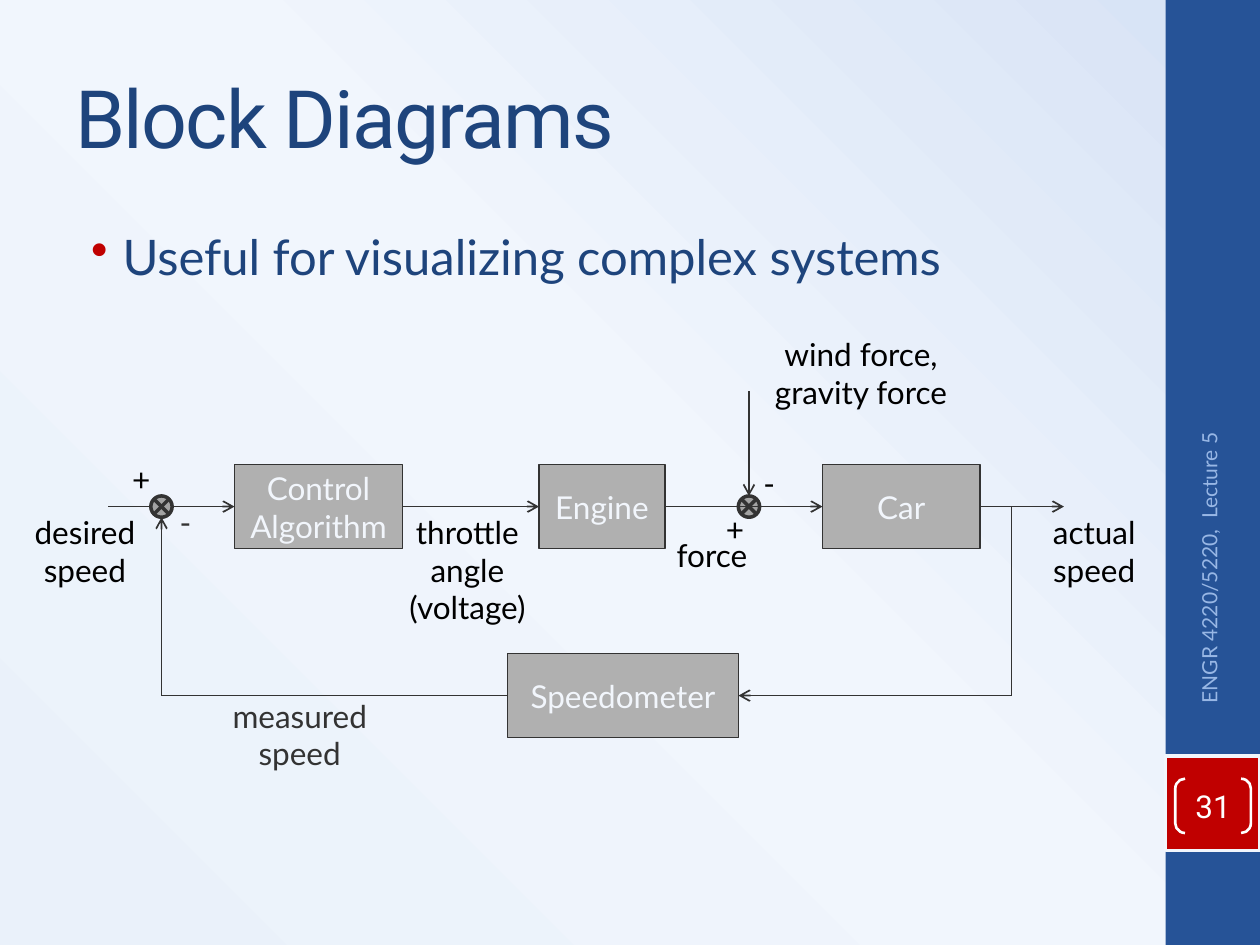
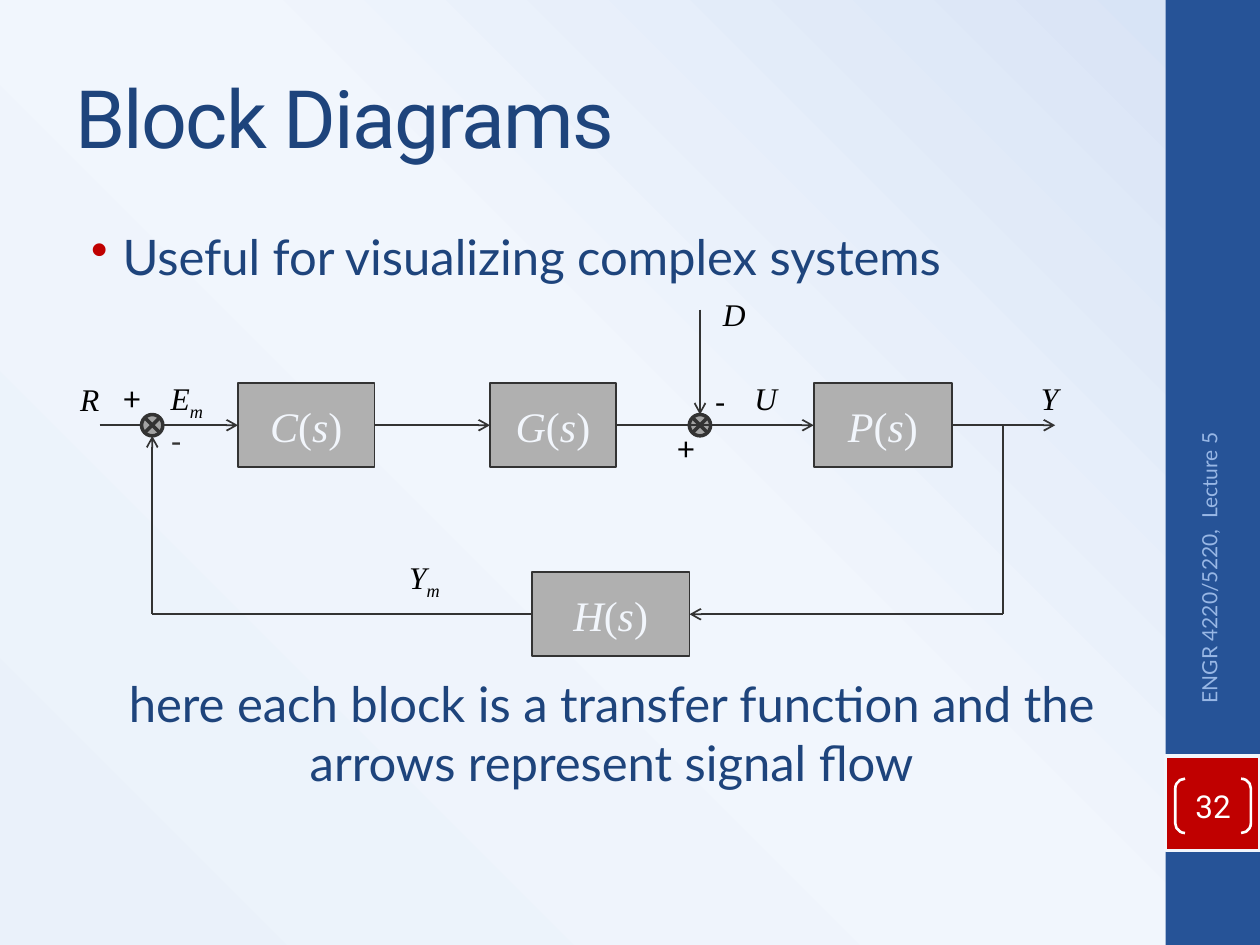
from dataclasses import dataclass

from lxml import etree
from pptx import Presentation
from pptx.dml.color import RGBColor
from pptx.enum.shapes import MSO_CONNECTOR, MSO_SHAPE
from pptx.enum.text import MSO_ANCHOR, PP_ALIGN
from pptx.oxml.ns import qn
from pptx.util import Pt

RECT = MSO_SHAPE.RECTANGLE
JUNCTION = MSO_SHAPE.FLOWCHART_SUMMING_JUNCTION
BRACKETS = MSO_SHAPE.DOUBLE_BRACKET
STRAIGHT = MSO_CONNECTOR.STRAIGHT
LEFT, CENTER, RIGHT = PP_ALIGN.LEFT, PP_ALIGN.CENTER, PP_ALIGN.RIGHT
TOP, MIDDLE = MSO_ANCHOR.TOP, MSO_ANCHOR.MIDDLE


@dataclass(frozen=True)
class Theme:
    navy: str = "1E447C"
    band: str = "265397"
    red: str = "C00000"
    footer: str = "98B7E5"
    pale: str = "F2F6FC"
    white: str = "FFFFFF"
    black: str = "000000"
    ink: str = "333333"
    block: str = "B0B0B0"
    junction: str = "A3A3A3"
    background: tuple = ((0, "EAF1FA"), (52, "F1F6FD"), (100, "D6E2F5"))
    title_font: str = "Roboto"
    body_font: str = "Lato"
    math_font: str = "Times New Roman"
    title: int = 46
    body: int = 28
    math: int = 24
    label: int = 18
    small: int = 12


T = Theme()
ITALIC = {"italic": True}
SUBSCRIPT = {"italic": True, "baseline": -25}


def rgb(color):
    return RGBColor.from_string(color)


def child(parent, tag, **attrs):
    e = etree.SubElement(parent, qn(tag))
    for name, value in attrs.items():
        e.set(name, str(value))
    return e


# Text and shapes

def write(tf, content, size=T.label, font=T.body_font, color=T.black,
          align=CENTER, anchor=TOP, wrap=True, spacing=None, margin=None,
          bullet=None):
    """Fill a frame with paragraphs; each is a string or a list of (text, format)."""
    tf.word_wrap = wrap
    tf.vertical_anchor = anchor
    if margin is not None:
        tf.margin_left = tf.margin_right = Pt(margin)
        tf.margin_top = tf.margin_bottom = Pt(margin)
    for i, runs in enumerate([content] if isinstance(content, str) else content):
        p = tf.paragraphs[0] if i == 0 else tf.add_paragraph()
        p.alignment = align
        if bullet:
            pPr = p._p.get_or_add_pPr()
            pPr.set("marL", str(Pt(27)))
            pPr.set("indent", str(-Pt(18)))
            child(child(pPr, "a:buClr"), "a:srgbClr", val=T.red)
            child(pPr, "a:buChar", char=bullet)
        for text, style in [(runs, {})] if isinstance(runs, str) else runs:
            r = p.add_run()
            r.text = text
            r.font.size = Pt(size)
            r.font.name = font
            r.font.color.rgb = rgb(color)
            r.font.italic = style.get("italic", False)
            rPr = r._r.get_or_add_rPr()
            if spacing:
                rPr.set("spc", str(spacing * 100))
            if "baseline" in style:
                rPr.set("baseline", str(style["baseline"] * 1000))


def add_text(s, box, content, **fmt):
    sp = s.shapes.add_textbox(*map(Pt, box))
    write(sp.text_frame, content, **fmt)
    return sp


def add_shape(s, kind, box, fill=None, line=None, width=1):
    sp = s.shapes.add_shape(kind, *map(Pt, box))
    sp.shadow.inherit = False
    if fill:
        sp.fill.solid()
        sp.fill.fore_color.rgb = rgb(fill)
    else:
        sp.fill.background()
    if line:
        sp.line.color.rgb = rgb(line)
        sp.line.width = Pt(width)
    else:
        sp.line.fill.background()
    return sp


def add_arrow(s, *points):
    """Join the points with straight lines; the last one has an arrowhead."""
    for start, end in zip(points, points[1:]):
        c = s.shapes.add_connector(STRAIGHT, *map(Pt, start + end))
        c.line.color.rgb = rgb(T.ink)
        c.line.width = Pt(1)
        spPr = c._element.spPr
        if end == points[-1]:
            child(spPr.find(qn("a:ln")), "a:tailEnd", type="arrow")
        child(spPr, "a:effectLst")


# Shared slide frame

def paint_background(s):
    s.background.fill.gradient()
    grad = s._element.find(".//" + qn("a:gradFill"))
    for e in list(grad):
        grad.remove(e)
    stops = child(grad, "a:gsLst")
    for position, color in T.background:
        child(child(stops, "a:gs", pos=position * 1000), "a:srgbClr", val=color)
    path = child(grad, "a:path", path="circle")
    child(path, "a:fillToRect", l=0, t=100000, r=100000, b=0)


def side_band(s, box, number):
    x, y, w, h = box
    add_shape(s, RECT, box, T.band)
    add_shape(s, RECT, (x, y + 432, w, w), T.red, T.pale, 2)
    footer = add_text(s, (x - 68.4, y + 319, 186.5, 28.8),
                      "ENGR 4220/5220,  Lecture 5", size=T.small,
                      color=T.footer, align=RIGHT, anchor=MIDDLE)
    footer.rotation = 270
    badge = add_shape(s, BRACKETS, (x + 5.6, y + 445, 43.2, 31), None, T.white, 1.5)
    badge.adjustments[0] = 0.18
    write(badge.text_frame, str(number), font=T.title_font, color=T.white,
          anchor=MIDDLE, margin=0)


def diagram_slide(prs, number):
    s = prs.slides.add_slide(prs.slide_layouts[6])
    paint_background(s)
    side_band(s, (666, 0, 54, 540), number)
    add_text(s, (36, 21.6, 600, 90), "Block Diagrams", size=T.title,
             font=T.title_font, color=T.navy, align=LEFT, anchor=MIDDLE, spacing=-1)
    add_text(s, (36, 126, 600, 50), "Useful for visualizing complex systems",
             size=T.body, color=T.navy, align=LEFT, bullet="•")
    return s


# Feedback loop

AXIS, FEEDBACK, BLOCK_H, JUNCTION_D = 66, 174, 48, 12.2


def add_block(s, x, center_y, w, content, **fmt):
    sp = add_shape(s, RECT, (x, center_y - BLOCK_H / 2, w, BLOCK_H), T.block, T.ink)
    write(sp.text_frame, content, color=T.pale, anchor=MIDDLE, **fmt)


def add_junction(s, x, y):
    d = JUNCTION_D
    add_shape(s, JUNCTION, (x - d / 2, y - d / 2, d, d), T.junction, T.ink, 2)


def add_sign(s, x, y, sign, color=T.black):
    add_text(s, (x, y, 25 if sign == "+" else 21, 29), sign, color=color, wrap=False)


def feedback_loop(s, box, forward, sensor, error_x, disturbance_x, takeoff_x,
                  labels, block_fmt, label_fmt):
    """Forward blocks lie on the axis, the sensor block below it."""
    left, top, width, _ = box
    axis, feedback = top + AXIS, top + FEEDBACK
    error, disturbance = left + error_x, left + disturbance_x
    takeoff = left + takeoff_x
    radius = JUNCTION_D / 2

    # Disturbance input
    add_junction(s, disturbance, axis)
    add_arrow(s, (disturbance, top), (disturbance, axis - radius))
    add_sign(s, disturbance - 20.5, axis - 1.4, "+")
    add_sign(s, disturbance + 1, axis - 27.7, "-")

    # Forward path
    start = left
    for x, w, content in forward:
        add_block(s, left + x, axis, w, content, **block_fmt)
        add_arrow(s, (start, axis), (left + x, axis))
        start = left + x + w
    add_arrow(s, (start, axis), (left + width, axis))

    # Return path
    x, w, content = sensor
    add_block(s, left + x, feedback, w, content, **block_fmt)
    add_arrow(s, (takeoff, axis), (takeoff, feedback), (left + x + w, feedback))
    add_arrow(s, (left + x, feedback), (error, feedback), (error, axis + radius))
    add_junction(s, error, axis)
    add_sign(s, error - 24, axis - 29.9, "+")
    add_sign(s, error + 3.2, axis - 5.4, "-", T.ink)

    # Signal names
    for x, y, w, content, color in labels:
        add_text(s, (left + x, top + y, w, 7.2 + 21.6 * len(content)), content,
                 color=color, wrap=False, **label_fmt)


def transfer(name):
    return [[(name, ITALIC), ("(", {}), ("s", ITALIC), (")", {})]]


def signal(name, index=None):
    return [[(name, ITALIC)] + ([(index, SUBSCRIPT)] if index else [])]


# Slides

def cruise_control_slide(prs):
    s = diagram_slide(prs, 31)
    feedback_loop(
        s, (62, 223.5, 546, 198),
        forward=[(72, 96, ["Control", "Algorithm"]), (246, 72, "Engine"),
                 (408, 90, "Car")],
        sensor=(228, 132, "Speedometer"),
        error_x=30.3, disturbance_x=366, takeoff_x=516,
        labels=[(373, -35.5, 114, ["wind force,", "gravity force"], T.black),
                (162.6, 66, 85, ["throttle", "angle", "(voltage)"], T.black),
                (317.4, 79, 55, ["force"], T.black),
                (531.3, 66, 64, ["actual", "speed"], T.black),
                (61.8, 171, 95, ["measured", "speed"], T.ink),
                (-50.5, 66, 74, ["desired", "speed"], T.black)],
        block_fmt={}, label_fmt={})


def transfer_function_slide(prs):
    s = diagram_slide(prs, 32)
    feedback_loop(
        s, (57, 177, 546, 198),
        forward=[(79, 78, transfer("C")), (223, 72, transfer("G")),
                 (408, 79, transfer("P"))],
        sensor=(247, 90, transfer("H")),
        error_x=30, disturbance_x=343, takeoff_x=516,
        labels=[(-18.8, 36.8, 26, signal("R"), T.black),
                (32.3, 36, 35, signal("E", "m"), T.black),
                (367, 36, 27, signal("U"), T.black),
                (349, -12, 27, signal("D"), T.black),
                (530.5, 36, 24.5, signal("Y"), T.black),
                (169, 138.3, 33, signal("Y", "m"), T.black)],
        block_fmt={"font": T.math_font, "size": T.math},
        label_fmt={"font": T.math_font})
    add_text(s, (63, 381.4, 573, 75),
             "here each block is a transfer function and the arrows represent "
             "signal flow", size=T.body, color=T.navy)


def main():
    prs = Presentation()
    prs.slide_width, prs.slide_height = Pt(720), Pt(540)
    cruise_control_slide(prs)
    transfer_function_slide(prs)
    prs.save("out.pptx")


if __name__ == "__main__":
    main()
